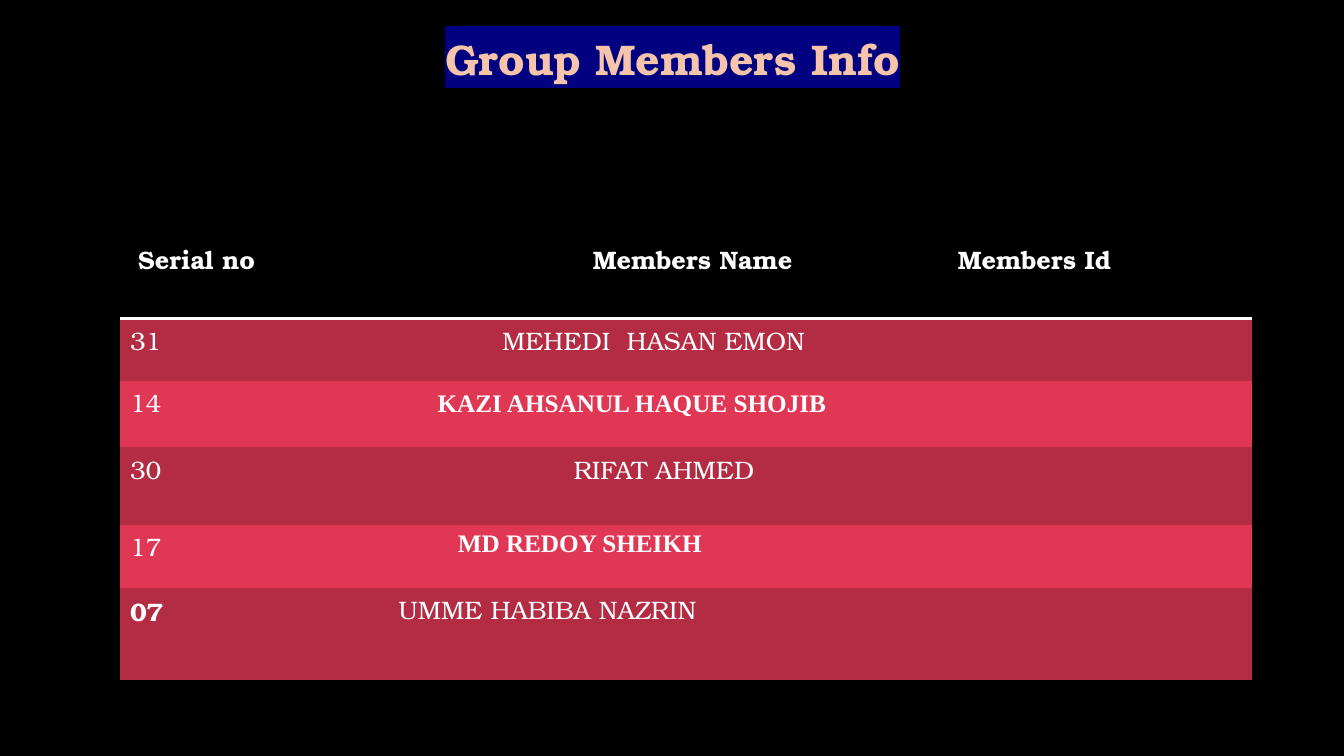
"""Builds the group members slide with its title and table."""
from lxml.etree import SubElement
from pptx import Presentation
from pptx.dml.color import RGBColor
from pptx.enum.text import MSO_ANCHOR, PP_ALIGN
from pptx.oxml import parse_xml
from pptx.oxml.ns import nsdecls, qn
from pptx.util import Inches, Pt

TITLE = "Group Members Info"
HEADERS = [("Serial no", 0.18), ("Members Name", 3.24), ("Members Id", 0.85)]
MEMBERS = [
    ("31", "MEHEDI  HASAN EMON", 2.34, "plain"),
    ("14", "KAZI AHSANUL HAQUE SHOJIB", 1.7, "strong_low"),
    ("30", "RIFAT AHMED", 3.05, "plain"),
    ("17", "MD REDOY SHEIKH", 1.9, "strong"),
    ("07", "UMME HABIBA NAZRIN", 1.31, "plain"),
]
BOLD_SERIALS = {"07"}
COLUMN_WIDTHS = [1.45, 6.01, 3.77]
ROW_HEIGHTS = [1.2, 0.62, 0.66, 0.77, 0.62, 0.92]
TABLE_LEFT, TABLE_TOP = 1.19, 1.96
SIDE_MARGIN = 0.1

THEME = {
    "background": "000000",
    "white": "FFFFFF",
    "title": "F6C4AB",
    "title_outline": "E86C2E",
    "title_highlight": "000080",
    "bands": ["B32C43", "E03754"],
    "display": "TeX Gyre Bonum",
    "serif": "Times New Roman",
    "title_size": 30.6,
    "body_size": 18,
    "no_grid_style": "{2D5ABB26-0587-4C30-8999-92F81FD0307C}",
}
CELL_STYLES = {
    "header": {"font": "display", "bold": True, "top": 0.43},
    "plain": {"font": "display", "bold": False, "top": 0.05},
    "bold": {"font": "display", "bold": True, "top": 0.05},
    "strong": {"font": "serif", "bold": True, "top": 0.05},
    "strong_low": {"font": "serif", "bold": True, "top": 0.09},
}


def color(code):
    return RGBColor.from_string(code)


def set_all(target, values):
    for name, value in values.items():
        setattr(target, name, value)


def line_xml(tag, code, points):
    return parse_xml(
        f'<a:{tag} {nsdecls("a")} w="{int(Pt(points))}"><a:solidFill>'
        f'<a:srgbClr val="{code}"/></a:solidFill></a:{tag}>'
    )


def style_font(span, face, size, bold, code):
    set_all(span.font, {"name": face, "size": Pt(size), "bold": bold})
    span.font.color.rgb = color(code)


def add_title(page):
    box = page.shapes.add_textbox(Inches(0.92), Inches(0.32), Inches(11.5), Inches(0.62))
    set_all(box.text_frame, {
        "word_wrap": True, "vertical_anchor": MSO_ANCHOR.TOP,
        "margin_left": 0, "margin_right": 0, "margin_top": 0, "margin_bottom": 0,
    })
    para = box.text_frame.paragraphs[0]
    para.alignment = PP_ALIGN.CENTER
    span = para.add_run()
    span.text = TITLE
    properties = span._r.get_or_add_rPr()
    properties.append(line_xml("ln", THEME["title_outline"], 1.75))
    highlight = SubElement(properties, qn("a:highlight"))
    SubElement(highlight, qn("a:srgbClr")).set("val", THEME["title_highlight"])
    style_font(span, THEME["display"], THEME["title_size"], True, THEME["title"])


def fill_cell(cell, text, indent, style_name, fill):
    style = CELL_STYLES[style_name]
    cell.fill.solid()
    cell.fill.fore_color.rgb = color(fill)
    set_all(cell, {
        "margin_left": Inches(indent), "margin_right": Inches(SIDE_MARGIN),
        "margin_top": Inches(style["top"]), "margin_bottom": Inches(0.05),
    })
    if text:
        span = cell.text_frame.paragraphs[0].add_run()
        span.text = text
        style_font(span, THEME[style["font"]], THEME["body_size"], style["bold"], THEME["white"])


def add_members_table(page):
    frame = page.shapes.add_table(
        len(ROW_HEIGHTS), len(COLUMN_WIDTHS), Inches(TABLE_LEFT), Inches(TABLE_TOP),
        Inches(sum(COLUMN_WIDTHS)), Inches(sum(ROW_HEIGHTS)),
    )
    table = frame.table
    table._tbl.tblPr.find(qn("a:tableStyleId")).text = THEME["no_grid_style"]
    for column, width in zip(table.columns, COLUMN_WIDTHS):
        column.width = Inches(width)
    for row, height in zip(table.rows, ROW_HEIGHTS):
        row.height = Inches(height)
    for index, (label, indent) in enumerate(HEADERS):
        cell = table.cell(0, index)
        fill_cell(cell, label, indent, "header", THEME["background"])
        cell._tc.get_or_add_tcPr().insert(0, line_xml("lnB", THEME["white"], 2))
    for index, (serial, member, indent, style_name) in enumerate(MEMBERS):
        serial_style = "bold" if serial in BOLD_SERIALS else "plain"
        contents = [
            (serial, SIDE_MARGIN, serial_style),
            (member, indent, style_name),
            ("", SIDE_MARGIN, "plain"),
        ]
        band = THEME["bands"][index % 2]
        for column, content in enumerate(contents):
            fill_cell(table.cell(index + 1, column), *content, band)


def main():
    deck = Presentation()
    set_all(deck, {"slide_width": Inches(13.33), "slide_height": Inches(7.5)})
    page = deck.slides.add_slide(deck.slide_layouts[6])
    page.background.fill.solid()
    page.background.fill.fore_color.rgb = color(THEME["background"])
    add_title(page)
    add_members_table(page)
    deck.save("out.pptx")


if __name__ == "__main__":
    main()
